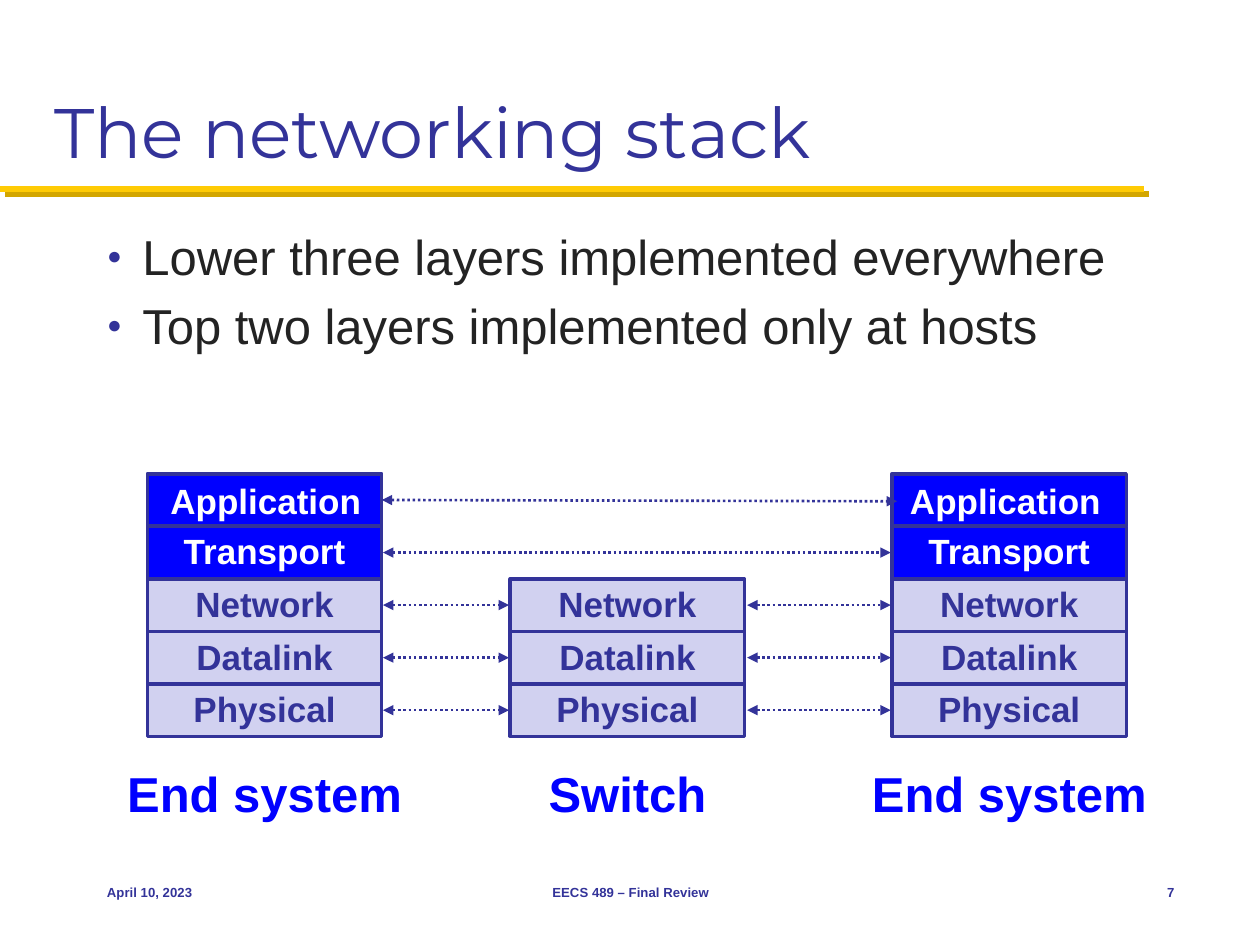
import pptx
import pptx.util
import pptx.dml.color
import pptx.enum.dml
import pptx.enum.shapes
import pptx.enum.text
import pptx.oxml
import pptx.oxml.ns

Inches = pptx.util.Inches
Pt = pptx.util.Pt
RGBColor = pptx.dml.color.RGBColor
ALIGN = pptx.enum.text.PP_ALIGN
ANCHOR = pptx.enum.text.MSO_ANCHOR

NAVY = RGBColor(0x33, 0x33, 0x99)
BLUE = RGBColor(0x00, 0x00, 0xFF)
PALE = RGBColor(0xD1, 0xD1, 0xF0)
WHITE = RGBColor(0xFF, 0xFF, 0xFF)
INK = RGBColor(0x23, 0x23, 0x23)
GOLD = RGBColor(0xFF, 0xCB, 0x05)
BRONZE = RGBColor(0xD3, 0xA6, 0x00)

TITLE = {"name": "Montserrat", "size": Pt(40), "bold": False}
BODY = {"name": "Arial", "size": Pt(28), "bold": False}
LAYER = {"name": "Arial", "size": Pt(20), "bold": True}
HOST = {"name": "Arial", "size": Pt(28), "bold": True}
FOOT = {"name": "Arial", "size": Pt(7.5), "bold": True}

LAYERS = [("Application", 1.73), ("Transport", 1.5), ("Network", 1.31),
          ("Datalink", 1.29), ("Physical", 1.34)]
HOSTS = 2
TOP, WIDE, HIGH = 3.76, 1.86, 0.417
LEFT, MID, RIGHT = 1.17, 4.05, 7.08


def style(font, form, color):
    for key, value in form.items():
        setattr(font, key, value)
    font.color.rgb = color


def place(shape, box):
    for key, value in zip(("left", "top", "width", "height"), box):
        setattr(shape, key, Inches(value))


def add_xml(node, tag, inner="", **attrs):
    pairs = "".join(f' {key}="{value}"' for key, value in attrs.items())
    space = pptx.oxml.ns.nsdecls("a")
    node.append(pptx.oxml.parse_xml(f"<a:{tag} {space}{pairs}>{inner}</a:{tag}>"))


def add_text(slide, box, text, form, color, align=ALIGN.CENTER,
             anchor=ANCHOR.TOP, wrap=False):
    frame = slide.shapes.add_textbox(*map(Inches, box)).text_frame
    frame.word_wrap = wrap
    frame.vertical_anchor = anchor
    para = frame.paragraphs[0]
    para.text = text
    para.alignment = align
    style(para.font, form, color)


def add_line(slide, start, end, color, width):
    kind = pptx.enum.shapes.MSO_CONNECTOR.STRAIGHT
    line = slide.shapes.add_connector(kind, *map(Inches, start + end))
    line.line.color.rgb = color
    line.line.width = Pt(width)
    return line


def add_rule(slide, box):
    left, top, width = box
    line = add_line(slide, (left, top), (left + width, top), GOLD, 3.5)
    shade = (f'<a:outerShdw dist="{Pt(4.2)}" dir="2700000" algn="ctr" '
             f'rotWithShape="0"><a:srgbClr val="{BRONZE}"/></a:outerShdw>')
    add_xml(line.element.spPr, "effectLst", shade)


def add_arrow(slide, start, end):
    line = add_line(slide, start, end, NAVY, 1.5)
    line.line.dash_style = pptx.enum.dml.MSO_LINE.ROUND_DOT
    for tag in ("headEnd", "tailEnd"):
        add_xml(line.line._get_or_add_ln(), tag, type="triangle")
    add_xml(line.element.spPr, "effectLst")


def add_title(slide, box, text):
    title = slide.shapes.title
    place(title, box)
    frame = title.text_frame
    frame.text = text
    frame.auto_size = pptx.enum.text.MSO_AUTO_SIZE.NONE
    frame.vertical_anchor = ANCHOR.BOTTOM
    para = frame.paragraphs[0]
    para.alignment = ALIGN.LEFT
    style(para.font, TITLE, NAVY)


def add_list(slide, box, items):
    body = slide.placeholders[1]
    place(body, box)
    frame = body.text_frame
    frame.text = "\n".join(items)
    frame.auto_size = pptx.enum.text.MSO_AUTO_SIZE.NONE
    for para in frame.paragraphs:
        props = para._p.get_or_add_pPr()
        props.set("marL", str(Inches(0.28)))
        props.set("indent", str(Inches(-0.28)))
        add_xml(props, "buClr", f'<a:srgbClr val="{NAVY}"/>')
        add_xml(props, "buSzPct", val="50000")
        add_xml(props, "buFont", typeface="Arial")
        add_xml(props, "buChar", char="●")
        style(para.font, BODY, INK)


def add_stack(slide, left, first, label, span, shift=0):
    mid = left + WIDE / 2
    for row in range(first, len(LAYERS)):
        name, width = LAYERS[row]
        top = TOP + row * HIGH
        fill, color = (BLUE, WHITE) if row < HOSTS else (PALE, NAVY)
        cell = slide.shapes.add_shape(
            pptx.enum.shapes.MSO_SHAPE.RECTANGLE,
            *map(Inches, (left, top, WIDE, HIGH)))
        cell.shadow.inherit = False
        cell.fill.solid()
        cell.fill.fore_color.rgb = fill
        cell.line.color.rgb = NAVY
        cell.line.width = Pt(2)
        move, rise = (shift, 0) if row == 0 else (0, 0.02)
        box = (mid - width / 2 + move, top - rise, width, 0.44)
        add_text(slide, box, name, LAYER, color)
    add_text(slide, (mid - span / 2, 6.01, span, 0.57), label, HOST, BLUE)


def add_links(slide):
    near, far = LEFT + WIDE + 0.01, RIGHT - 0.01
    for row in range(len(LAYERS)):
        y = TOP + (row + 0.5) * HIGH
        if row == 0:
            add_arrow(slide, (near - 0.01, y), (far + 0.05, y + 0.01))
        elif row < HOSTS:
            add_arrow(slide, (near, y), (far, y))
        else:
            add_arrow(slide, (near, y), (MID - 0.01, y))
            add_arrow(slide, (MID + WIDE + 0.02, y), (far, y))


def add_footer(slide, top, height):
    parts = [(0.75, 2.08, "April 10, 2023", ALIGN.LEFT),
             (3.42, 3.17, "EECS 489 – Final Review", ALIGN.CENTER),
             (8.75, 0.67, "7", ALIGN.RIGHT)]
    for left, width, text, align in parts:
        add_text(slide, (left, top, width, height), text, FOOT, NAVY,
                 align, ANCHOR.MIDDLE, True)


def main():
    deck = pptx.Presentation()
    deck.slide_width = Inches(10)
    deck.slide_height = Inches(7.5)
    slide = deck.slides.add_slide(deck.slide_layouts[1])
    add_rule(slide, (0, 1.5, 9.08))
    add_title(slide, (0.33, 0.17, 9.33, 1.25), "The networking stack")
    add_list(slide, (0.75, 1.75, 8.67, 1.29),
             ["Lower three layers implemented everywhere",
              "Top two layers implemented only at hosts"])
    add_stack(slide, LEFT, 0, "End system", 2.41, 0.01)
    add_stack(slide, RIGHT, 0, "End system", 2.41, -0.03)
    add_stack(slide, MID, HOSTS, "Switch", 1.47)
    add_links(slide)
    add_footer(slide, 6.83, 0.5)
    deck.save("out.pptx")


if __name__ == "__main__":
    main()
